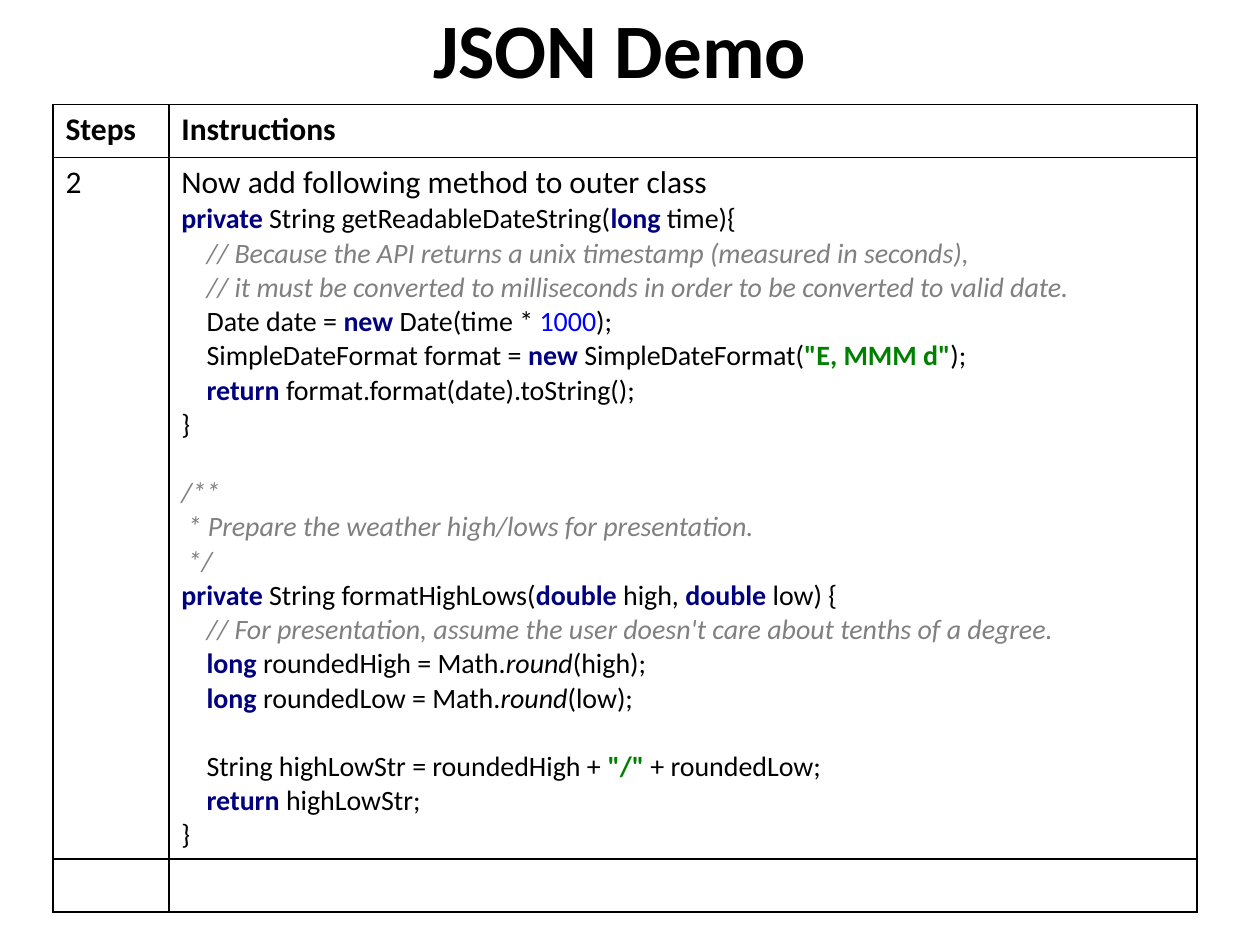
from lxml.etree import SubElement
from pptx import Presentation
from pptx.dml.color import RGBColor
from pptx.enum.text import MSO_ANCHOR, PP_ALIGN
from pptx.oxml import parse_xml
from pptx.oxml.ns import nsdecls, qn
from pptx.util import Inches, Pt

TITLE = "JSON Demo"
HEADINGS = ("Steps", "Instructions")
STEP = "2"
INTRO = "Now add following method to outer class"

# One list per code line, as (style, text) pieces
CODE = [
    [("keyword", "private "), ("plain", "String getReadableDateString("),
     ("keyword", "long "), ("plain", "time){")],
    [("comment", "    // Because the API returns a unix timestamp (measured in seconds),")],
    [("comment", "    // it must be converted to milliseconds in order to be converted to valid date.")],
    [("plain", "    Date date = "), ("keyword", "new "), ("plain", "Date(time * "),
     ("number", "1000"), ("plain", ");")],
    [("plain", "    SimpleDateFormat format = "), ("keyword", "new "),
     ("plain", "SimpleDateFormat("), ("string", '"E, MMM d"'), ("plain", ");")],
    [("keyword", "    return "), ("plain", "format.format(date).toString();")],
    [("plain", "}")],
    [],
    [("comment", "/**")],
    [("comment", " * Prepare the weather high/lows for presentation.")],
    [("comment", " */")],
    [("keyword", "private "), ("plain", "String formatHighLows("), ("keyword", "double "),
     ("plain", "high, "), ("keyword", "double "), ("plain", "low) {")],
    [("comment", "    // For presentation, assume the user doesn't care about tenths of a degree.")],
    [("plain", "    "), ("keyword", "long "), ("plain", "roundedHigh = Math."),
     ("static", "round"), ("plain", "(high);")],
    [("plain", "    "), ("keyword", "long "), ("plain", "roundedLow = Math."),
     ("static", "round"), ("plain", "(low);")],
    [],
    [("plain", "    String highLowStr = roundedHigh + "), ("string", '"/" '),
     ("plain", "+ roundedLow;")],
    [("plain", "    "), ("keyword", "return "), ("plain", "highLowStr;")],
    [("plain", "}")],
]

STYLES = {
    "plain": {"color": "000000"},
    "keyword": {"color": "000080", "bold": True},
    "comment": {"color": "808080", "italic": True},
    "number": {"color": "0000FF"},
    "string": {"color": "008000", "bold": True},
    "static": {"color": "000000", "italic": True},
}
COLUMN_WIDTHS = (0.92, 8.16)
ROW_HEIGHTS = (0.42, 5.57, 0.42)
CODE_SIZE = 16


def rgb(value):
    return RGBColor.from_string(value)


def add_text(paragraph, text, size=18, color="000000", bold=False, italic=False):
    run = paragraph.add_run()
    run.text = text
    formats = {"name": "Calibri", "size": Pt(size), "bold": bold, "italic": italic}
    for attribute, value in formats.items():
        setattr(run.font, attribute, value)
    run.font.color.rgb = rgb(color)


def add_code(paragraph, lines):
    for index, line in enumerate(lines):
        if index:
            paragraph.add_line_break()
            # The break carries the code size so line heights stay even
            SubElement(paragraph._p[-1], qn("a:rPr"), sz=str(CODE_SIZE * 100))
        for style, text in line:
            add_text(paragraph, text, CODE_SIZE, **STYLES[style])


def outline(cell):
    cell.fill.background()
    properties = cell._tc.get_or_add_tcPr()
    for position, side in enumerate("LRTB"):
        properties.insert(position, parse_xml(
            f'<a:ln{side} {nsdecls("a")} w="12700"><a:solidFill>'
            f'<a:srgbClr val="000000"/></a:solidFill></a:ln{side}>'))


prs = Presentation()
prs.slide_width, prs.slide_height = Inches(10), Inches(7.5)
slide = prs.slides.add_slide(prs.slide_layouts[6])

# Title
title = slide.shapes.add_textbox(Inches(0.42), Inches(-0.25), Inches(9), Inches(1.25)).text_frame
title.word_wrap = True
title.vertical_anchor = MSO_ANCHOR.MIDDLE
title.paragraphs[0].alignment = PP_ALIGN.CENTER
add_text(title.paragraphs[0], TITLE, 44, bold=True)

# Steps table
steps = slide.shapes.add_table(
    len(ROW_HEIGHTS), len(COLUMN_WIDTHS), Inches(0.42), Inches(0.83),
    Inches(sum(COLUMN_WIDTHS)), Inches(sum(ROW_HEIGHTS))).table
steps.first_row = steps.horz_banding = False
for column, width in zip(steps.columns, COLUMN_WIDTHS):
    column.width = Inches(width)
for row, height in zip(steps.rows, ROW_HEIGHTS):
    row.height = Inches(height)
for cell in steps.iter_cells():
    outline(cell)

# Table text
for index, heading in enumerate(HEADINGS):
    add_text(steps.cell(0, index).text_frame.paragraphs[0], heading, bold=True)
add_text(steps.cell(1, 0).text_frame.paragraphs[0], STEP)
instructions = steps.cell(1, 1).text_frame
add_text(instructions.paragraphs[0], INTRO)
add_code(instructions.add_paragraph(), CODE)

prs.save("out.pptx")
